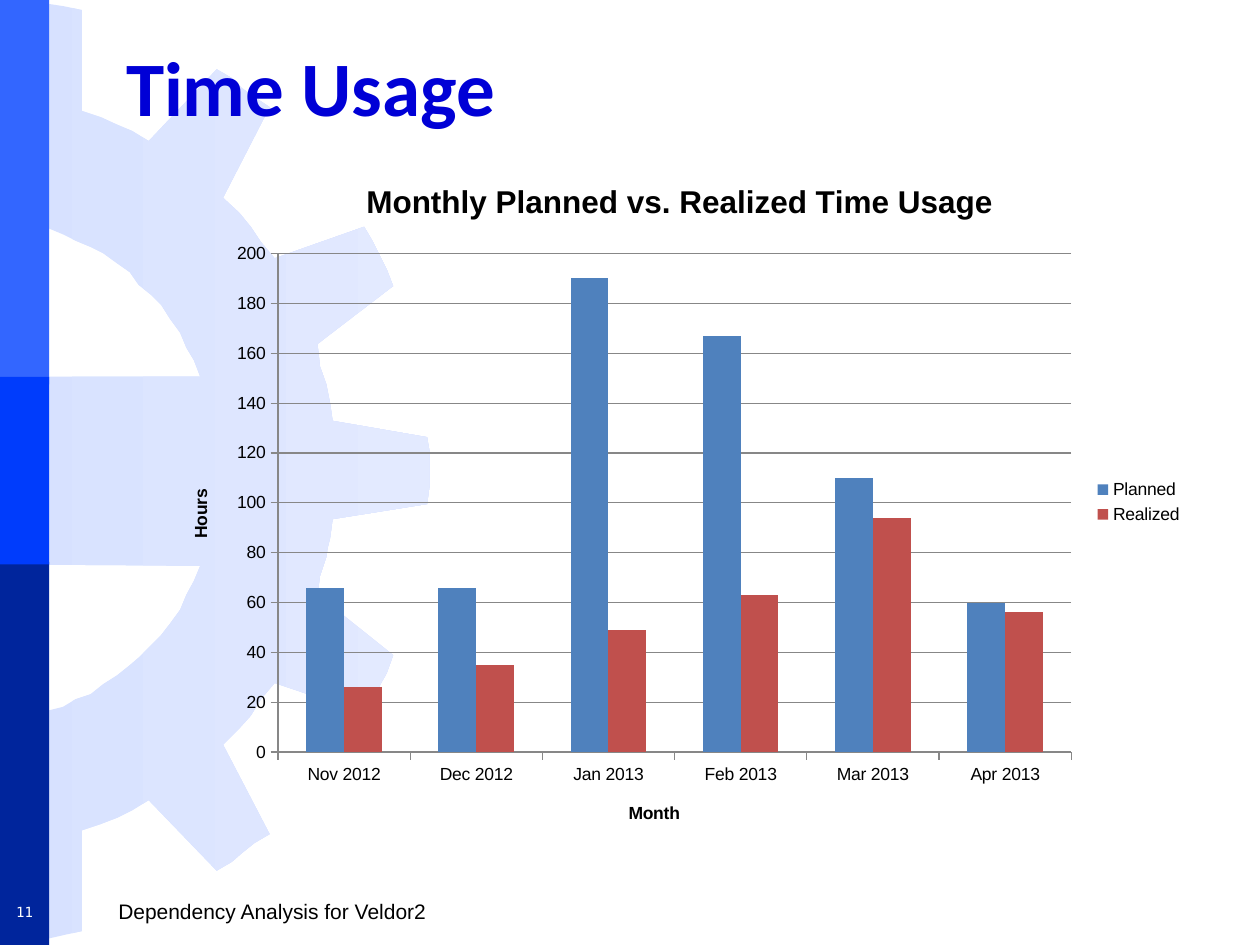
from pptx import Presentation
from pptx.chart.data import CategoryChartData
from pptx.dml.color import RGBColor
from pptx.enum import chart as ch, shapes, text
from pptx.util import Inches, Pt

BLACK = RGBColor(0, 0, 0)
WHITE = RGBColor(255, 255, 255)
GRAY = RGBColor(0x87, 0x87, 0x87)
NAVY = RGBColor(0, 0, 0xD6)
PALE = (RGBColor(0xD7, 0xE1, 0xFF), RGBColor(0xE3, 0xEA, 0xFF))
BANDS = [
    (0, 3.05, RGBColor(0x33, 0x66, 0xFF)),
    (4.46, 3.04, RGBColor(0x00, 0x25, 0x9C)),
    (2.99, 1.49, RGBColor(0x00, 0x3C, 0xFC)),
]
MONTHS = ["Nov 2012", "Dec 2012", "Jan 2013", "Feb 2013", "Mar 2013", "Apr 2013"]
HOURS = [
    ("Planned", (66, 66, 190, 167, 110, 60), RGBColor(0x4F, 0x81, 0xBD)),
    ("Realized", (26, 35, 49, 63, 94, 56), RGBColor(0xC0, 0x50, 0x4D)),
]
GEAR = [
    (159, 299), (0, 299), (0, 448), (159, 449), (154, 461), (148, 472),
    (143, 484), (135, 495), (128, 504), (120, 512), (110, 522), (103, 528),
    (93, 536), (82, 543), (72, 551), (60, 555), (50, 561), (38, 564),
    (26, 568), (13, 570), (13, 749), (27, 746), (38, 745), (51, 742),
    (65, 739), (65, 659), (80, 654), (93, 649), (105, 643), (118, 635),
    (172, 691), (184, 684), (192, 677), (202, 669), (214, 662), (177, 591),
    (190, 578), (199, 568), (207, 555), (218, 542), (289, 566), (296, 555),
    (302, 543), (307, 534), (312, 520), (252, 472), (254, 457), (259, 442),
    (260, 435), (262, 427), (264, 412), (339, 400), (341, 385), (341, 373),
    (341, 359), (339, 347), (264, 334), (262, 320), (259, 305), (254, 291),
    (252, 273), (312, 227), (307, 214), (302, 204), (296, 192), (289, 180),
    (218, 205), (207, 192), (199, 180), (190, 169), (177, 157), (214, 85),
    (202, 77), (192, 70), (184, 62), (172, 55), (118, 112), (105, 104),
    (93, 99), (80, 93), (65, 88), (65, 8), (51, 5), (38, 3), (27, 1),
    (13, 0), (13, 176), (26, 180), (38, 181), (50, 186), (60, 191),
    (72, 196), (82, 201), (93, 209), (103, 216), (110, 226), (120, 234),
    (128, 242), (135, 253), (143, 264), (148, 276), (154, 286),
]


def style(font, size, color, name="Arial", bold=False):
    """Set the look of a font."""
    font.size, font.name, font.bold = Pt(size), name, bold
    font.color.rgb = color


def write(frame, words, *look):
    """Add one styled run to the first paragraph and return the paragraph."""
    par = frame.paragraphs[0]
    run = par.add_run()
    run.text = words
    style(run.font, *look)
    return par


def add_gear(slide, left, top):
    """Draw the pale gear with its corner at the given point."""
    pen = slide.shapes.build_freeform(*GEAR[0], scale=Inches(0.01))
    pen.add_line_segments(GEAR[1:], close=True)
    gear = pen.convert_to_shape(Inches(left), Inches(top))
    gear.shadow.inherit = False
    gear.line.fill.background()
    gear.fill.gradient()
    gear.fill.gradient_angle = 0
    for stop, color, pos in zip(gear.fill.gradient_stops, PALE, (0, 1)):
        stop.color.rgb = color
        stop.position = pos


def add_bands(slide, left, top, width):
    """Stack the blue bands of the side strip."""
    for down, height, color in BANDS:
        band = slide.shapes.add_shape(
            shapes.MSO_SHAPE.RECTANGLE, Inches(left), Inches(top + down),
            Inches(width), Inches(height))
        band.shadow.inherit = False
        band.fill.solid()
        band.fill.fore_color.rgb = color
        band.line.fill.background()


def add_title(slide, *box):
    """Place the title in front of the side art."""
    title = slide.shapes.title
    title.left, title.top, title.width, title.height = map(Inches, box)
    slide.shapes.element.append(title.element)
    frame = title.text_frame
    frame.vertical_anchor = text.MSO_ANCHOR.MIDDLE
    par = write(frame, "Time Usage", 44, NAVY, "Calibri", True)
    par.alignment = text.PP_ALIGN.LEFT


def add_foot(slide, left, top, width, height):
    """Write the footer and the page number in the side strip."""
    note = slide.shapes.add_textbox(*map(Inches, (left + 0.84, top, width, height)))
    write(note.text_frame, "Dependency Analysis for Veldor2", 12, BLACK)
    page = slide.shapes.add_textbox(*map(Inches, (left, top + 0.03, 0.39, 0.26)))
    page.text_frame.vertical_anchor = text.MSO_ANCHOR.MIDDLE
    par = write(page.text_frame, "11", 8, WHITE, "DejaVu Sans Mono")
    par.alignment = text.PP_ALIGN.CENTER


def add_hours(slide, *box):
    """Chart planned and realized hours by month."""
    data = CategoryChartData()
    data.categories = MONTHS
    for name, vals, _ in HOURS:
        data.add_series(name, vals)
    chart = slide.shapes.add_chart(
        ch.XL_CHART_TYPE.COLUMN_CLUSTERED, *map(Inches, box), data).chart
    style(chart.font, 10, BLACK)
    chart.has_title = True
    write(chart.chart_title.text_frame, "Monthly Planned vs. Realized Time Usage",
          18, BLACK, "Arial", True)
    chart.chart_title.include_in_layout = False
    chart.has_legend = True
    chart.legend.position = ch.XL_LEGEND_POSITION.RIGHT
    chart.legend.include_in_layout = False
    for axis, name in ((chart.category_axis, "Month"), (chart.value_axis, "Hours")):
        axis.has_title = True
        write(axis.axis_title.text_frame, name, 10, BLACK, "Arial", True)
        axis.major_tick_mark = ch.XL_TICK_MARK.OUTSIDE
        axis.format.line.color.rgb = GRAY
    scale = chart.value_axis
    scale.minimum_scale, scale.maximum_scale, scale.major_unit = 0, 200, 20
    scale.has_major_gridlines = True
    scale.major_gridlines.format.line.color.rgb = GRAY
    plot = chart.plots[0]
    plot.gap_width, plot.overlap = 150, 0
    plot.vary_by_categories = False
    for bars, (_, _, color) in zip(plot.series, HOURS):
        bars.format.fill.solid()
        bars.format.fill.fore_color.rgb = color


def main():
    """Build and save the slide."""
    deck = Presentation()
    deck.slide_width, deck.slide_height = Inches(10), Inches(7.5)
    slide = deck.slides.add_slide(deck.slide_layouts[5])
    add_gear(slide, 0, 0)
    add_bands(slide, 0, 0, 0.39)
    add_foot(slide, 0, 7.08, 5.31, 0.31)
    add_title(slide, 0.9, 0.21, 8.66, 0.94)
    add_hours(slide, 1.3, 1.23, 8.19, 5.51)
    deck.save("out.pptx")


main()
